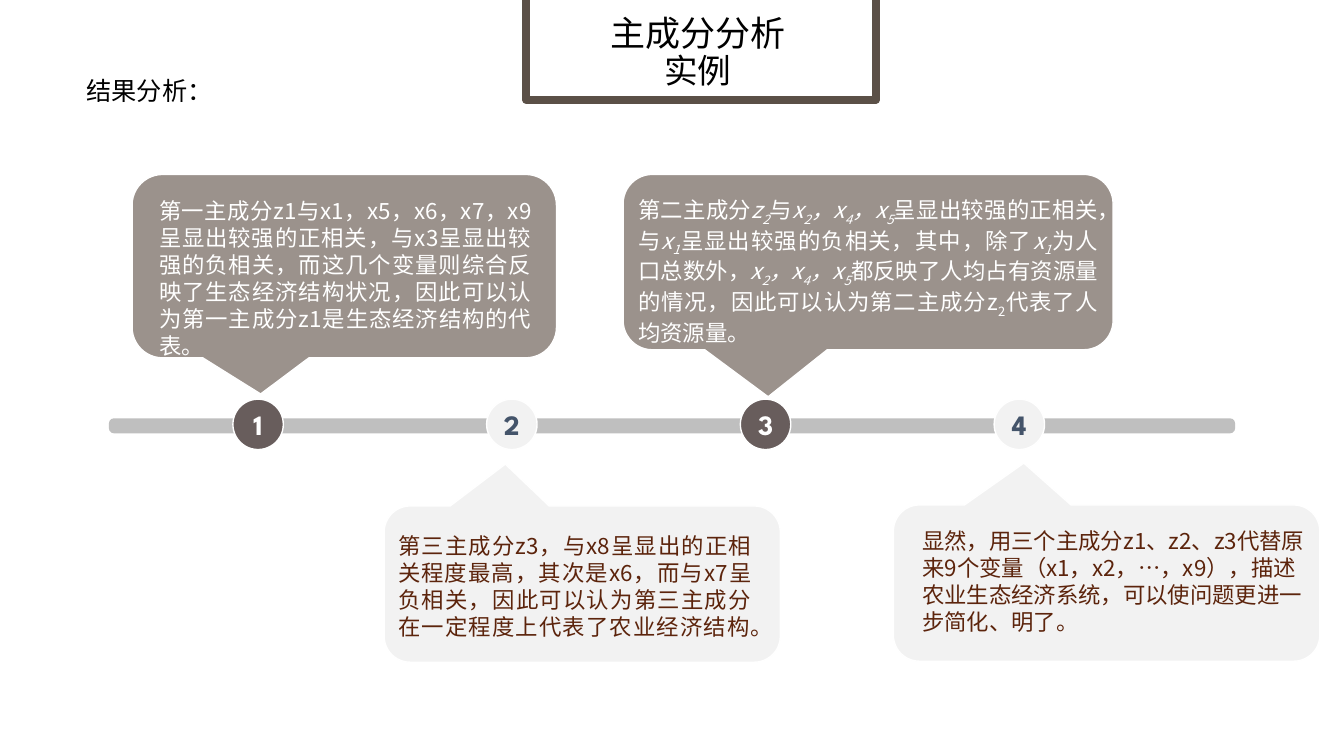
from pptx import Presentation
from pptx import util as u
from pptx.dml.color import RGBColor
from pptx.enum import shapes, text
from pptx.oxml.ns import qn
from lxml import etree

INK = dict(white="FFFFFF", black="000000", frame="5B5047", bar="BFBFBF", dark="685D5C",
           pale="F2F2F2", navy="44546A", taupe="9B928C", rust="5C240C")
SANS = "Noto Sans CJK SC"
KIND = shapes.MSO_SHAPE
ALIGN = text.PP_ALIGN

deck = Presentation()
deck.slide_width, deck.slide_height = u.Inches(13.33), u.Inches(7.5)
slide = deck.slides.add_slide(deck.slide_layouts[6])


def draw(kind, box, fill, line=None, width=1, adj=()):
    sides = [deck.slide_width, deck.slide_height] * 2
    item = slide.shapes.add_shape(kind, *[int(n * s / 100) for n, s in zip(box, sides)])
    item.shadow.inherit = False
    for i, value in enumerate(adj):
        item.adjustments[i] = value
    item.fill.solid()
    item.fill.fore_color.rgb = RGBColor.from_string(INK[fill])
    if line:
        item.line.color.rgb = RGBColor.from_string(INK[line])
        item.line.width = u.Pt(width)
    else:
        item.line.fill.background()
    return item


def write(words, box=None, item=None, sizes=(16,), color="black", font=SANS, bold=False,
          align=ALIGN.LEFT, anchor=text.MSO_ANCHOR.TOP, wrap=True, lead=None):
    if item is None:
        sides = [deck.slide_width, deck.slide_height] * 2
        item = slide.shapes.add_textbox(*[int(n * s / 100) for n, s in zip(box, sides)])
    frame = item.text_frame
    frame.word_wrap = wrap
    frame.vertical_anchor = anchor
    for n, (row, size) in enumerate(zip(words.split("\n"), sizes)):
        para = frame.add_paragraph() if n else frame.paragraphs[0]
        para.alignment = align
        if lead:
            para.line_spacing = lead
        for i, part in enumerate(row.split("*")):
            for j, bit in enumerate(part.split("_")):
                if not bit:
                    continue
                run = para.add_run()
                run.text = bit
                run.font.size = u.Pt(size)
                run.font.bold = bold
                run.font.italic = i % 2 == 1
                run.font.color.rgb = RGBColor.from_string(INK[color])
                run.font.name = font
                props = run.font._element
                etree.SubElement(props, qn("a:ea")).set("typeface", font)
                if j % 2:
                    props.set("baseline", "-25000")
    return frame


draw(KIND.RECTANGLE, (39.16, -9.6, 26.03, 22.8), "white", "frame", 5.5)
write("主成分分析\n实例", (39.83, 0.4, 24.16, 13.33), sizes=(25, 24),
      align=ALIGN.CENTER, anchor=text.MSO_ANCHOR.MIDDLE, lead=0.9)
write("结果分析：", (5.7, 9.33, 10.95, 5.33), sizes=(18,), wrap=False)

draw(KIND.ROUNDED_RECTANGLE, (8.1, 55.33, 83.8, 2), "bar", adj=(0.345,))
for n in range(4):
    fill, color = [("dark", "white"), ("pale", "navy")][n % 2]
    dot = draw(KIND.OVAL, (17.33 + 18.88 * n, 52.8, 3.75, 6.67), fill, "white")
    frame = write(str(n + 1), item=dot, sizes=(20,), color=color, font="League Spartan",
                  bold=True, align=ALIGN.CENTER, anchor=text.MSO_ANCHOR.MIDDLE)
    frame.margin_left = frame.margin_right = 0

notes = [
    ((9.83, 23.07, 31.58, 24.27), (-0.197, 0.697), "taupe",
     (11.1, 25.47, 29.18, 22.93), "white", ALIGN.JUSTIFY,
     "第一主成分z1与x1，x5，x6，x7，x9呈显出较强的正相关，与x3呈显出较强的负相关，"
     "而这几个变量则综合反映了生态经济结构状况，因此可以认为第一主成分z1是生态经济结构的代表。"),
    ((46.36, 23.07, 36.46, 23.2), (-0.204, 0.768), "taupe",
     (46.74, 25.33, 35.71, 19.33), "white", ALIGN.JUSTIFY,
     "第二主成分*z_2_*与*x_2_，x_4_，x_5_*呈显出较强的正相关，与*x_1_*呈显出较强的负相关，"
     "其中，除了*x_1_*为人口总数外，*x_2_，x_4_，x_5_*都反映了人均占有资源量的情况，"
     "因此可以认为第二主成分z_2_代表了人均资源量。"),
    ((28.58, 66.93, 29.48, 20.67), (-0.194, -0.768), "pale",
     (28.88, 69.73, 27.76, 15.73), "rust", ALIGN.JUSTIFY,
     "第三主成分z3，与x8呈显出的正相关程度最高，其次是x6，而与x7呈负相关，"
     "因此可以认为第三主成分在一定程度上代表了农业经济结构。"),
    ((66.47, 66.8, 31.73, 20.67), (-0.194, -0.768), "pale",
     (67.89, 69.07, 30.38, 15.73), "rust", ALIGN.LEFT,
     "显然，用三个主成分z1、z2、z3代替原来9个变量（x1，x2，…，x9），"
     "描述农业生态经济系统，可以使问题更进一步简化、明了。"),
]
for bubble, tip, fill, box, color, align, words in notes:
    draw(KIND.ROUNDED_RECTANGULAR_CALLOUT, bubble, fill, "white", adj=(*tip, 0.167))
    write(words, box, color=color, align=align)

deck.save("out.pptx")
